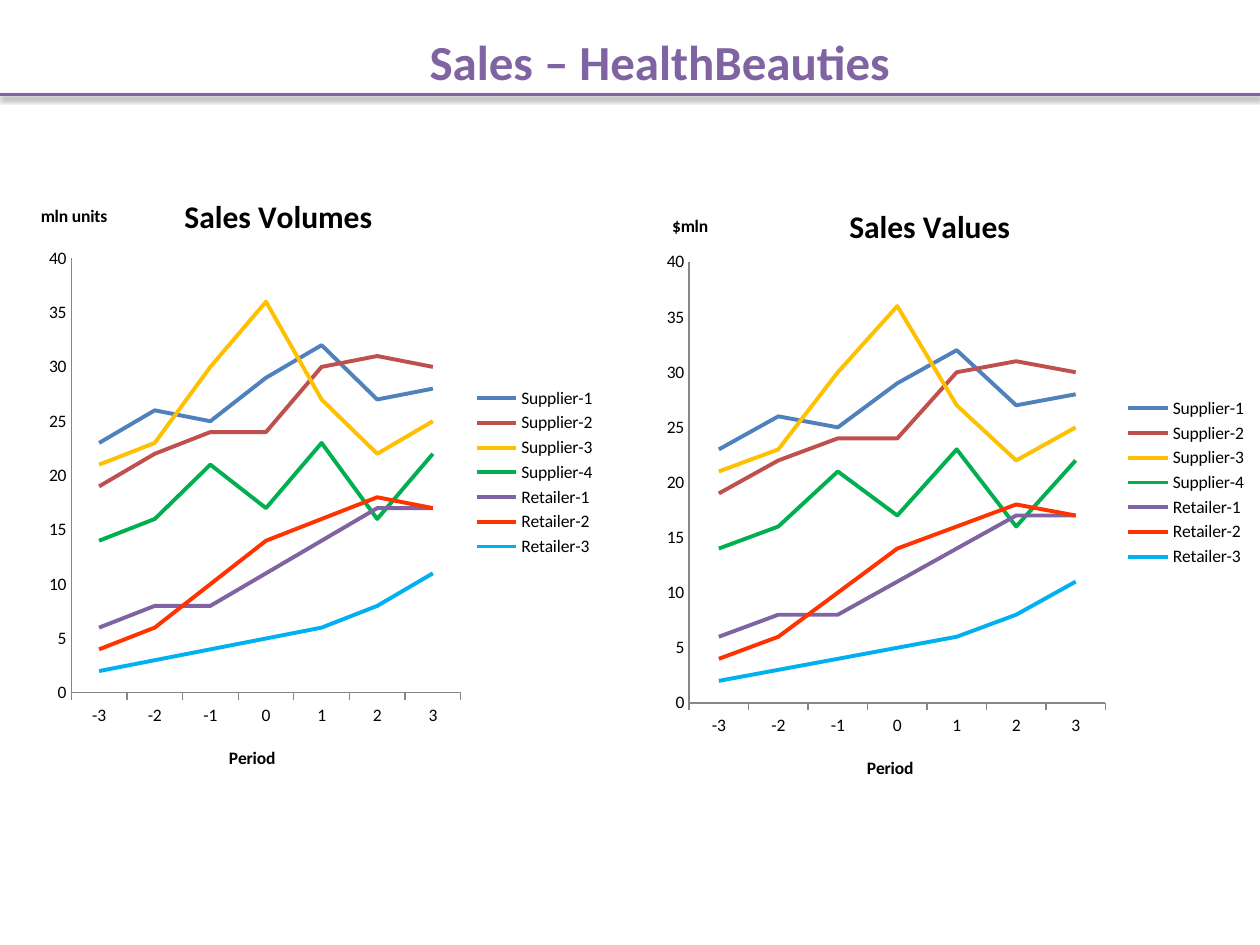
from dataclasses import dataclass

from lxml import etree
from pptx import Presentation
from pptx.chart.data import CategoryChartData
from pptx.dml.color import RGBColor
from pptx.enum.chart import XL_CHART_TYPE, XL_LEGEND_POSITION, XL_TICK_MARK
from pptx.enum.shapes import MSO_CONNECTOR
from pptx.enum.text import MSO_ANCHOR, PP_ALIGN
from pptx.oxml import parse_xml
from pptx.oxml.ns import nsdecls, qn
from pptx.util import Inches, Pt

LINE_CHART = XL_CHART_TYPE.LINE
LEGEND_RIGHT = XL_LEGEND_POSITION.RIGHT
TICK_NONE, TICK_OUTSIDE = XL_TICK_MARK.NONE, XL_TICK_MARK.OUTSIDE
STRAIGHT = MSO_CONNECTOR.STRAIGHT
MIDDLE, CENTER = MSO_ANCHOR.MIDDLE, PP_ALIGN.CENTER


@dataclass(frozen=True)
class Theme:
    """Colours, font and type sizes of the slide."""
    font: str = "Calibri"
    accent: str = "8064A2"
    text: str = "000000"
    axis: str = "868686"
    heading_size: float = 28
    chart_title_size: float = 18
    label_size: float = 10
    rule_width: float = 2
    series_width: float = 2.25


THEME = Theme()
PERIODS = ["-3", "-2", "-1", "0", "1", "2", "3"]
SALES = [
    ("Supplier-1", "4F81BD", (23, 26, 25, 29, 32, 27, 28)),
    ("Supplier-2", "C0504D", (19, 22, 24, 24, 30, 31, 30)),
    ("Supplier-3", "FFC000", (21, 23, 30, 36, 27, 22, 25)),
    ("Supplier-4", "00B050", (14, 16, 21, 17, 23, 16, 22)),
    ("Retailer-1", "8064A2", (6, 8, 8, 11, 14, 17, 17)),
    ("Retailer-2", "FF3300", (4, 6, 10, 14, 16, 18, 17)),
    ("Retailer-3", "00B0F0", (2, 3, 4, 5, 6, 8, 11)),
]
CHARTS = [
    dict(box=(-0.5, 1.25, 5.33, 5), title="Sales Volumes", unit="mln units",
         plot_at=(0.2, 0.16, 0.58, 0.69), title_at=(0.36, 0.05),
         period_at=(0.43, 0.93), unit_at=(0.15, 0.07)),
    dict(box=(4.67, 1.33, 5.33, 5), title="Sales Values", unit="$mln",
         plot_at=(0.15, 0.15, 0.62, 0.7), title_at=(0.38, 0.05),
         period_at=(0.41, 0.93), unit_at=(0.12, 0.07)),
]


def style_font(font, size, color, bold=False):
    """Apply the theme font with a size, colour and weight."""
    font.name, font.size, font.bold = THEME.font, Pt(size), bold
    font.color.rgb = RGBColor.from_string(color)


def manual_layout(position, inner=False):
    """Return a chart layout element placed by fractions of the chart."""
    layout = parse_xml(f"<c:layout {nsdecls('c')}><c:manualLayout/></c:layout>")
    settings = [("layoutTarget", "inner")] if inner else []
    settings += [("xMode", "edge"), ("yMode", "edge")]
    settings += zip("xywh", position)
    for tag, value in settings:
        etree.SubElement(layout[0], qn(f"c:{tag}")).set("val", str(value))
    return layout


def place_title(title, text, size, position):
    """Write a horizontal chart or axis title at a fixed position."""
    title.text_frame.text = text
    style_font(title.text_frame.paragraphs[0].runs[0].font, size, THEME.text, True)
    element = title.element if hasattr(title, "element") else title._element
    for body in element.iter(qn("a:bodyPr")):
        body.set("rot", "0")
        body.set("vert", "horz")
    for old in element.findall(qn("c:layout")):
        element.remove(old)
    element.find(qn("c:tx")).addnext(manual_layout(position))


def add_heading(slide, box):
    """Add the slide heading in its box."""
    heading = slide.shapes.add_textbox(*map(Inches, box)).text_frame
    heading.word_wrap = True
    heading.vertical_anchor = MIDDLE
    heading.text = "Sales – HealthBeauties"
    paragraph = heading.paragraphs[0]
    paragraph.alignment = CENTER
    style_font(paragraph.runs[0].font, THEME.heading_size, THEME.accent, True)


def add_rule(slide, left, top, width):
    """Add the shadowed rule below the heading."""
    rule = slide.shapes.add_connector(
        STRAIGHT, Inches(left), Inches(top), Inches(left + width), Inches(top))
    rule.line.color.rgb = RGBColor.from_string(THEME.accent)
    rule.line.width = Pt(THEME.rule_width)
    rule.element.spPr.append(parse_xml(
        f"<a:effectLst {nsdecls('a')}>"
        f'<a:outerShdw blurRad="{Pt(3.1)}" dist="{Pt(1.6)}" dir="5400000" rotWithShape="0">'
        f'<a:srgbClr val="{THEME.text}"><a:alpha val="38000"/></a:srgbClr>'
        "</a:outerShdw></a:effectLst>"))


def add_sales_chart(slide, box, title, unit, plot_at, title_at, period_at, unit_at):
    """Add one line chart of sales by period in its box."""
    data = CategoryChartData()
    data.categories = PERIODS
    for name, _, values in SALES:
        data.add_series(name, values)
    chart = slide.shapes.add_chart(LINE_CHART, *map(Inches, box), data).chart
    style_font(chart.font, THEME.label_size, THEME.text)

    chart.has_legend = True
    chart.legend.position = LEGEND_RIGHT
    chart.legend.include_in_layout = False

    period_axis, sales_axis = chart.category_axis, chart.value_axis
    sales_axis.minimum_scale, sales_axis.maximum_scale = 0, 40
    sales_axis.major_unit = 5
    sales_axis.has_major_gridlines = False
    for axis, tick in ((period_axis, TICK_OUTSIDE), (sales_axis, TICK_NONE)):
        axis.major_tick_mark, axis.minor_tick_mark = tick, TICK_NONE
        axis.format.line.color.rgb = RGBColor.from_string(THEME.axis)
        axis.format.line.width = Pt(0.75)

    place_title(chart.chart_title, title, THEME.chart_title_size, title_at)
    place_title(period_axis.axis_title, "Period", THEME.label_size, period_at)
    place_title(sales_axis.axis_title, unit, THEME.label_size, unit_at)

    plot = chart.plots[0]
    plot.vary_by_categories = False
    for series, (_, color, _) in zip(plot.series, SALES):
        series.smooth = False
        series.format.line.color.rgb = RGBColor.from_string(color)
        series.format.line.width = Pt(THEME.series_width)

    plot_area = chart.element.find(f".//{qn('c:plotArea')}")
    for old in plot_area.findall(qn("c:layout")):
        plot_area.remove(old)
    plot_area.insert(0, manual_layout(plot_at, inner=True))


def build_slide(presentation):
    """Build the sales slide."""
    slide = presentation.slides.add_slide(presentation.slide_layouts[6])
    add_heading(slide, (0.36, 0.05, 9.75, 0.87))
    add_rule(slide, 0, 0.75, 10)
    for chart in CHARTS:
        add_sales_chart(slide, **chart)


presentation = Presentation()
presentation.slide_width, presentation.slide_height = Inches(10), Inches(7.5)
build_slide(presentation)
presentation.save("out.pptx")
